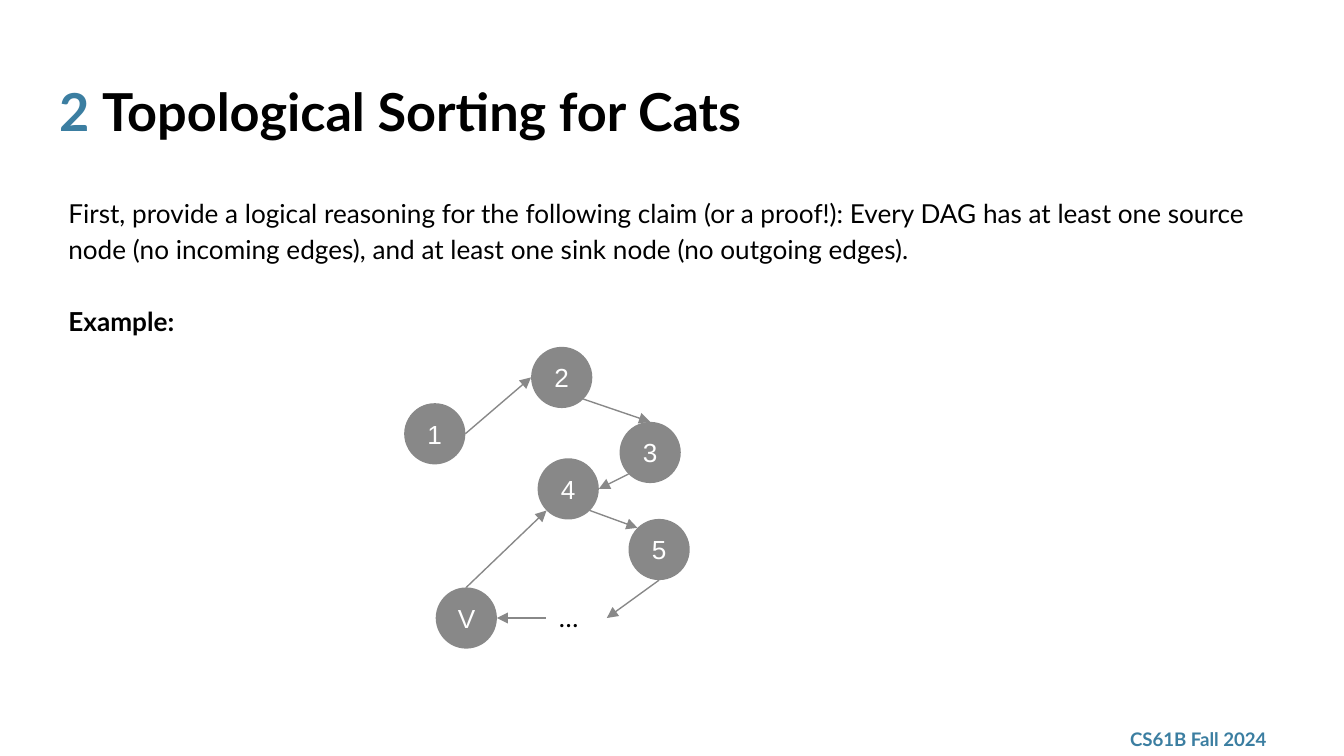
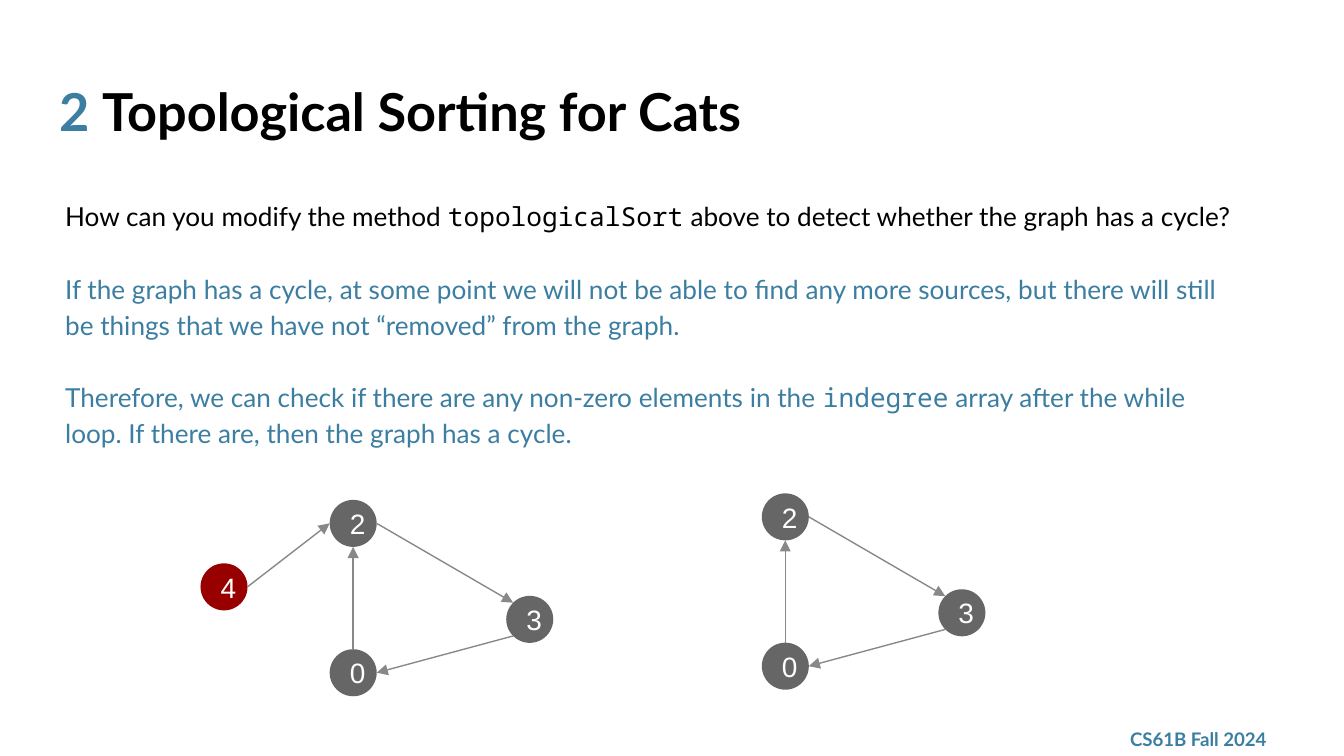
from lxml import etree
from pptx import Presentation
from pptx.dml.color import RGBColor
from pptx.enum import shapes, text
from pptx.oxml.ns import qn
from pptx.util import Pt

BLACK = RGBColor(0x00, 0x00, 0x00)
WHITE = RGBColor(0xFF, 0xFF, 0xFF)
BLUE = RGBColor(0x3B, 0x7E, 0xA1)
GRAY = RGBColor(0x88, 0x88, 0x88)
DARK_GRAY = RGBColor(0x66, 0x66, 0x66)
RED = RGBColor(0x98, 0x00, 0x00)
SANS, MONO, NODE_FONT = "Lato", "Noto Sans Mono", "Arial"

TITLE = [("2 ", BLUE), ("Topological Sorting for Cats", BLACK)]
FOOTER = "CS61B Fall 2024"
INSET = 7.2
PARAGRAPH_GAP = 19.3

# A paragraph is (colour, bold, pieces); every second piece is code.
CLAIM = [
    (BLACK, False, ["First, provide a logical reasoning for the following claim (or a proof!): "
                    "Every DAG has at least one source node (no incoming edges), and at least "
                    "one sink node (no outgoing edges)."]),
    (BLACK, True, ["Example:"]),
]
CYCLE_CHECK = [
    (BLACK, False, ["How can you modify the method ", "topologicalSort",
                    " above to detect whether the graph has a cycle?"]),
    (BLUE, False, ["If the graph has a cycle, at some point we will not be able to find any more "
                   "sources, but there will still be things that we have not “removed” from the "
                   "graph."]),
    (BLUE, False, ["Therefore, we can check if there are any non-zero elements in the ", "indegree",
                   " array after the while loop. If there are, then the graph has a cycle."]),
]

# Nodes: label -> (left, top, fill). Edges: (from, side, to, side).
PATH_NODES = {
    "1": (216.5, 216, GRAY), "2": (284.5, 185.8, GRAY), "3": (331.9, 226, GRAY),
    "4": (288, 245.5, GRAY), "5": (336.7, 278, GRAY), "V": (233.4, 314.7, GRAY),
    "…": (292.3, 314.7, None),
}
PATH_EDGES = [
    ("1", "R", "2", "L"), ("2", "BR", "3", "T"), ("3", "BL", "4", "R"), ("4", "BR", "5", "TL"),
    ("5", "B", "…", "R"), ("…", "L", "V", "R"), ("V", "T", "4", "BL"),
]
CYCLE_NODES = {
    "0": (176.6, 344.3 + 3.5, DARK_GRAY), "2": (176.6, 267.8, DARK_GRAY),
    "3": (271.2, 319.2, DARK_GRAY),
}
CYCLE_EDGES = [("0", "T", "2", "B"), ("2", "R", "3", "TL"), ("3", "BL", "0", "R")]
SOURCE_NODE = {"4": (107.4, 301.8, RED)}
SOURCE_EDGE = ("4", "R", "2", "L")
CYCLE_SHIFT = (231.5, -3.5)

DIAGONAL = 0.5 ** 0.5
SIDES = {"T": (0, -1), "B": (0, 1), "L": (-1, 0), "R": (1, 0)}
SIDES.update({v + h: (SIDES[h][0] * DIAGONAL, SIDES[v][1] * DIAGONAL) for v in "TB" for h in "LR"})


def set_font(font, name, size, color, bold=False):
    font.name, font.size, font.bold = name, Pt(size), bold
    font.color.rgb = color


def set_frame(tf, anchor):
    tf.word_wrap = True
    tf.auto_size = text.MSO_AUTO_SIZE.NONE
    tf.vertical_anchor = anchor
    tf.margin_left = tf.margin_right = tf.margin_top = tf.margin_bottom = Pt(INSET)


def add_text(s, left, top, width, height, anchor=text.MSO_ANCHOR.TOP):
    tf = s.shapes.add_textbox(Pt(left), Pt(top), Pt(width), Pt(height)).text_frame
    set_frame(tf, anchor)
    return tf


def add_slide(prs):
    """Add a slide with the shared title and footer."""
    s = prs.slides.add_slide(prs.slide_layouts[5])
    title = s.shapes.title
    title.left, title.top, title.width, title.height = Pt(24.5), Pt(35.4), Pt(671), Pt(45)
    set_frame(title.text_frame, text.MSO_ANCHOR.TOP)
    p = title.text_frame.paragraphs[0]
    p.alignment = text.PP_ALIGN.LEFT
    for words, color in TITLE:
        r = p.add_run()
        r.text = words
        set_font(r.font, SANS, 28, color, True)

    p = add_text(s, 598.3, 386.6, 97.2, 18.7, text.MSO_ANCHOR.MIDDLE).paragraphs[0]
    p.text = FOOTER
    set_font(p.font, SANS, 10, BLUE, True)
    return s


def add_body(s, left, top, height, paragraphs):
    tf = add_text(s, left, top, 646, height)
    for i, (color, bold, pieces) in enumerate(paragraphs):
        p = tf.add_paragraph() if i else tf.paragraphs[0]
        p.line_spacing = 1.15
        p.space_before = Pt(PARAGRAPH_GAP if i else 0)
        for j, piece in enumerate(pieces):
            r = p.add_run()
            r.text = piece
            set_font(r.font, MONO if j % 2 else SANS, 14, color, bold)


def add_node(s, label, left, top, fill, size, font_size):
    """Draw a filled circle with its label, or the bare label if there is no fill."""
    if fill is None:
        p = add_text(s, left, top, size, size).paragraphs[0]
        p.text = label
        set_font(p.font, SANS, font_size, BLACK)
        return
    sp = s.shapes.add_shape(shapes.MSO_SHAPE.OVAL, Pt(left), Pt(top), Pt(size), Pt(size))
    sp.shadow.inherit = False
    sp.fill.solid()
    sp.fill.fore_color.rgb = fill
    sp.line.fill.background()
    set_frame(sp.text_frame, text.MSO_ANCHOR.MIDDLE)
    p = sp.text_frame.paragraphs[0]
    p.text = label
    p.alignment = text.PP_ALIGN.CENTER
    set_font(p.font, NODE_FONT, font_size, WHITE)


def add_arrow(s, start, end):
    c = s.shapes.add_connector(shapes.MSO_CONNECTOR.STRAIGHT, *map(Pt, start + end))
    c.line.color.rgb = GRAY
    c.line.width = Pt(0.75)
    etree.SubElement(c.line._get_or_add_ln(), qn("a:tailEnd"), type="triangle")
    etree.SubElement(c._element.spPr, qn("a:effectLst"))


def add_graph(s, nodes, edges, size, font_size, shift=(0, 0)):
    dx, dy = shift

    def rim(label, side):
        left, top, _ = nodes[label]
        x, y = SIDES[side]
        return left + dx + size / 2 * (1 + x), top + dy + size / 2 * (1 + y)

    for label, (left, top, fill) in nodes.items():
        add_node(s, label, left + dx, top + dy, fill, size, font_size)
    for tail, tail_side, head, head_side in edges:
        add_arrow(s, rim(tail, tail_side), rim(head, head_side))


def main():
    prs = Presentation()
    prs.slide_width, prs.slide_height = Pt(720), Pt(405)

    s = add_slide(prs)
    add_body(s, 29.5, 95.8, 90, CLAIM)
    add_graph(s, PATH_NODES, PATH_EDGES, 32.8, 14)

    s = add_slide(prs)
    add_body(s, 27.8, 97.9, 148.3, CYCLE_CHECK)
    add_graph(s, {**CYCLE_NODES, **SOURCE_NODE}, CYCLE_EDGES + [SOURCE_EDGE], 25.2, 15)
    add_graph(s, CYCLE_NODES, CYCLE_EDGES, 25.2, 15, CYCLE_SHIFT)

    prs.save("out.pptx")


if __name__ == "__main__":
    main()
